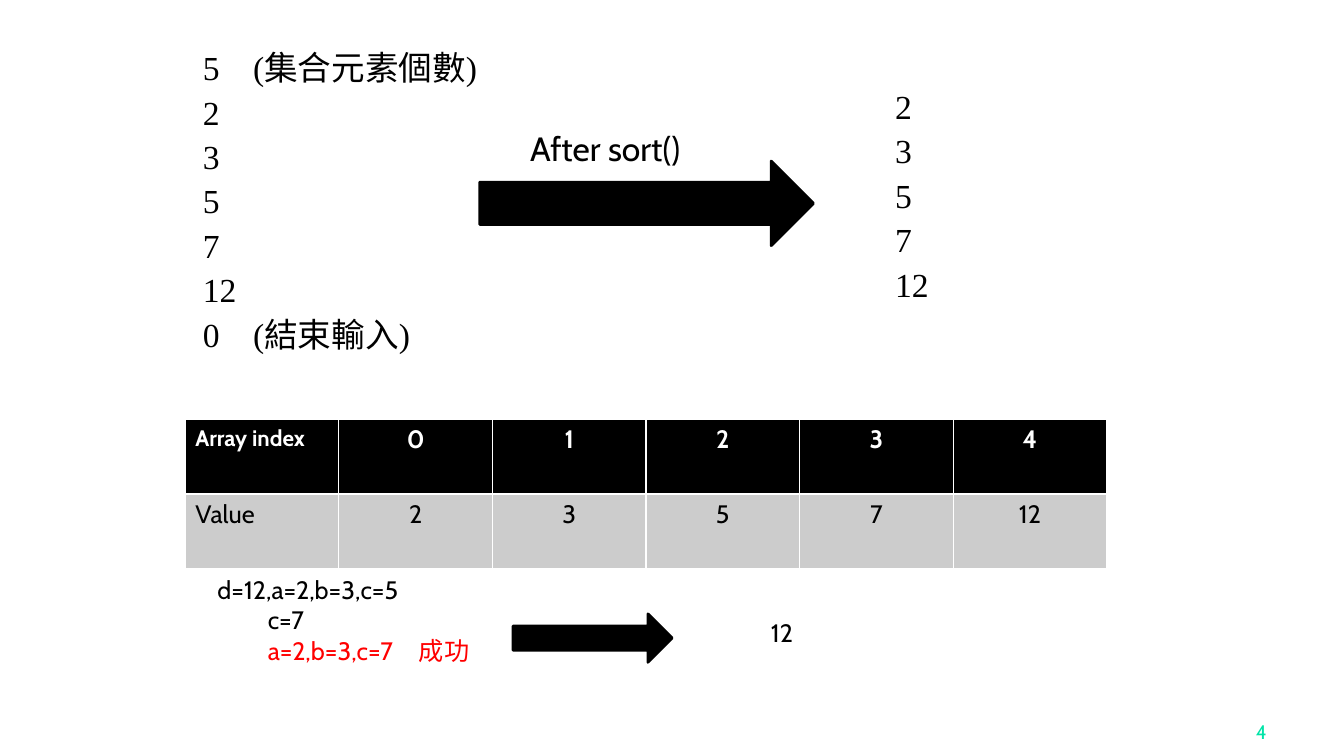
from dataclasses import dataclass

from pptx import Presentation
from pptx.dml.color import RGBColor
from pptx.enum.shapes import MSO_SHAPE
from pptx.enum.text import MSO_ANCHOR, MSO_AUTO_SIZE, PP_ALIGN
from pptx.oxml.ns import qn
from pptx.util import Cm, Pt
from lxml.etree import SubElement

COLORS = {"ink": "000000", "white": "FFFFFF", "value": "CCCCCC",
          "success": "FF0000", "number": "00E4A8"}
SANS = "Cabin"
SERIF = "Times New Roman"
LIST_SPACING = {"line_spacing": 0.9, "space_before": Pt(5.8)}
LIST_INSET = 1.73


@dataclass
class Box:
    left: float
    top: float
    width: float
    height: float

    def lengths(self) -> list:
        return [Cm(v) for v in (self.left, self.top, self.width, self.height)]


@dataclass
class Line:
    text: str
    tabs: tuple[float, ...] = ()
    color: str = "ink"


@dataclass
class Label:
    box: Box
    lines: list[Line]
    size: int
    align: PP_ALIGN = PP_ALIGN.LEFT
    anchor: MSO_ANCHOR = MSO_ANCHOR.TOP


INPUT_LINES = [Line("5\t(集合元素個數)", (1.28,)),
               *(Line(n) for n in ("2", "3", "5", "7", "12")),
               Line("0\t(結束輸入)", (1.28,))]
SORTED = ["2", "3", "5", "7", "12"]
LABELS = [
    Label(Box(13.11, 3.1, 5.61, 1.27), [Line("After sort()")], 24),
    Label(Box(5.23, 14.35, 8.86, 2.57),
          [Line("d=12,a=2,b=3,c=5"), Line("\tc=7", (3.78,)),
           Line("\ta=2,b=3,c=7\t成功", (1.12, 4.72), "success")], 18),
    Label(Box(19.18, 15.44, 1.98, 1.02), [Line("12")], 18),
    Label(Box(25.12, 17.58, 7.06, 1.27), [Line("4", color="number")], 14,
          PP_ALIGN.RIGHT, MSO_ANCHOR.BOTTOM),
]
ARROWS = [Box(12.09, 4.06, 8.41, 2.13), Box(12.93, 15.47, 4.01, 1.22)]


def rgb(name: str) -> RGBColor:
    return RGBColor.from_string(COLORS[name])


def apply(target, values: dict) -> None:
    for name, value in values.items():
        setattr(target, name, value)


def style_font(font, name: str, size: int, color: str, bold: bool = False) -> None:
    apply(font, {"name": name, "size": Pt(size), "bold": bold})
    font.color.rgb = rgb(color)


def set_tabs(p, tabs: tuple[float, ...]) -> None:
    """Remove bullet and indent, then place the tab stops."""
    pPr = p._p.get_or_add_pPr()
    pPr.set("marL", "0")
    pPr.set("indent", "0")
    SubElement(pPr, qn("a:buNone"))
    if tabs:
        tab_list = SubElement(pPr, qn("a:tabLst"))
        for pos in tabs:
            SubElement(tab_list, qn("a:tab"), pos=str(Cm(pos)), algn="l")


def write_lines(tf, lines: list[Line], font: str, size: int, spacing: dict) -> None:
    apply(tf, {"word_wrap": True, "auto_size": MSO_AUTO_SIZE.NONE})
    for i, line in enumerate(lines):
        p = tf.paragraphs[0] if i == 0 else tf.add_paragraph()
        set_tabs(p, line.tabs)
        apply(p, spacing)
        if i == 0:
            p.space_before = Pt(0)
        r = p.add_run()
        r.text = line.text
        style_font(r.font, font, size, line.color)


def add_label(slide, label: Label) -> None:
    tf = slide.shapes.add_textbox(*label.box.lengths()).text_frame
    write_lines(tf, label.lines, SANS, label.size, {"alignment": label.align})
    tf.vertical_anchor = label.anchor


def add_arrow(slide, box: Box) -> None:
    sp = slide.shapes.add_shape(MSO_SHAPE.RIGHT_ARROW, *box.lengths())
    sp.shadow.inherit = False
    sp.fill.solid()
    sp.fill.fore_color.rgb = rgb("ink")
    sp.line.color.rgb = rgb("ink")
    sp.line.width = Pt(2)


def add_array_table(slide, box: Box) -> None:
    rows = [["Array index", *(str(i) for i in range(len(SORTED)))],
            ["Value", *SORTED]]
    table = slide.shapes.add_table(2, len(rows[0]), *box.lengths()).table
    for r, row in enumerate(rows):
        for c, text in enumerate(row):
            cell = table.cell(r, c)
            cell.fill.solid()
            cell.fill.fore_color.rgb = rgb("value" if r else "ink")
            p = cell.text_frame.paragraphs[0]
            p.alignment = PP_ALIGN.CENTER if c else PP_ALIGN.LEFT
            run = p.add_run()
            run.text = text
            style_font(run.font, SANS, 18 if r or c else 16,
                       "ink" if r else "white", bold=r == 0)


def main() -> None:
    prs = Presentation()
    apply(prs, {"slide_width": Cm(33.87), "slide_height": Cm(19.05)})
    slide = prs.slides.add_slide(prs.slide_layouts[1])
    title = slide.shapes.title.element
    title.getparent().remove(title)

    body = slide.placeholders[1]
    apply(body, dict(zip(("left", "top", "width", "height"),
                         Box(3.38, 0.94, 28.78, 12.9).lengths())))
    sorted_box = slide.shapes.add_textbox(*Box(20.83, 2.08, 8.2, 5.69).lengths())
    for sp, lines, top in ((body, INPUT_LINES, 0.36),
                           (sorted_box, [Line(n) for n in SORTED], 0.2)):
        tf = sp.text_frame
        write_lines(tf, lines, SERIF, 24, LIST_SPACING)
        apply(tf, {"margin_left": Cm(LIST_INSET), "margin_top": Cm(top),
                   "vertical_anchor": MSO_ANCHOR.TOP})

    for box in ARROWS:
        add_arrow(slide, box)
    add_array_table(slide, Box(4.67, 10.57, 23.22, 3.76))
    for label in LABELS:
        add_label(slide, label)
    prs.save("out.pptx")


if __name__ == "__main__":
    main()
